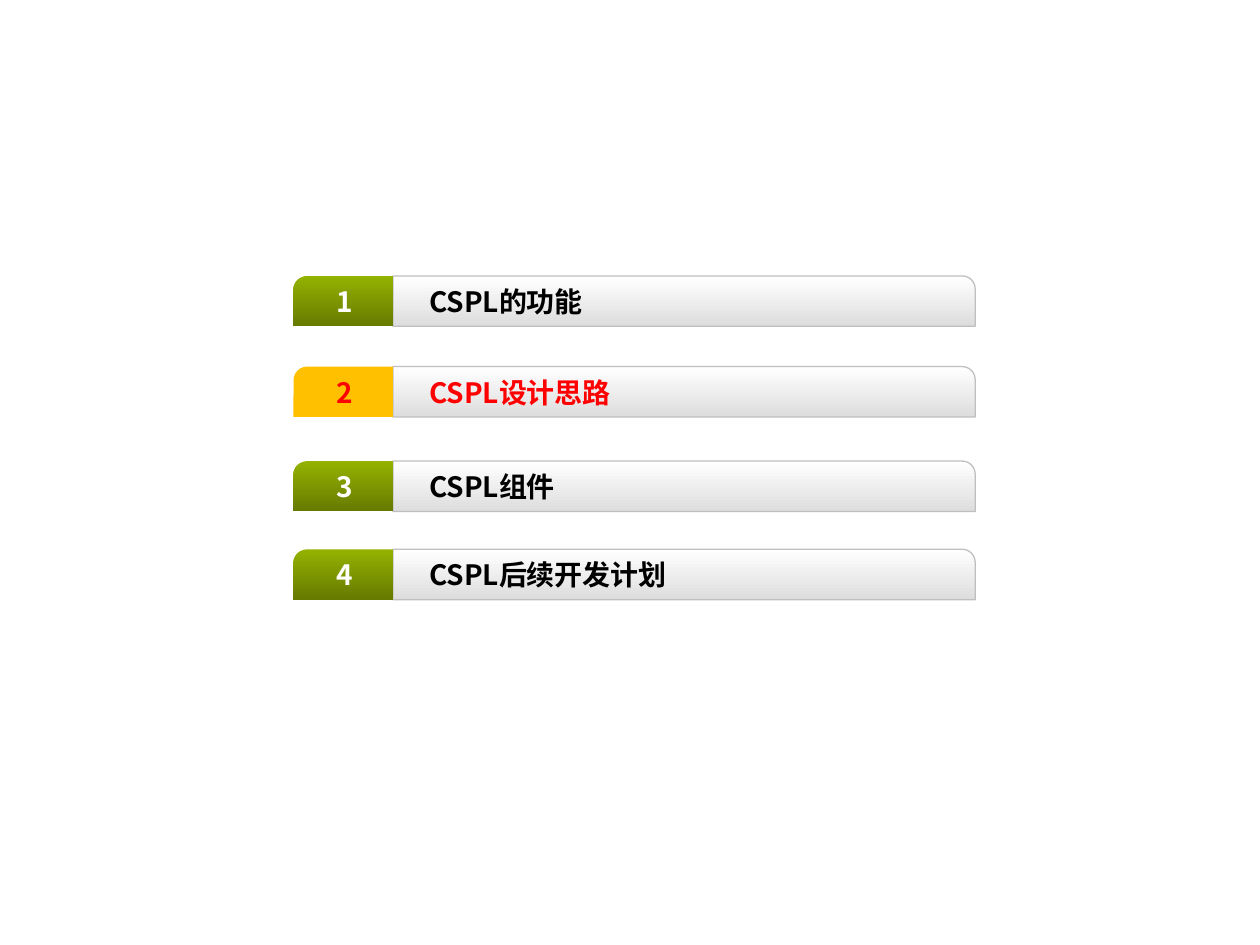
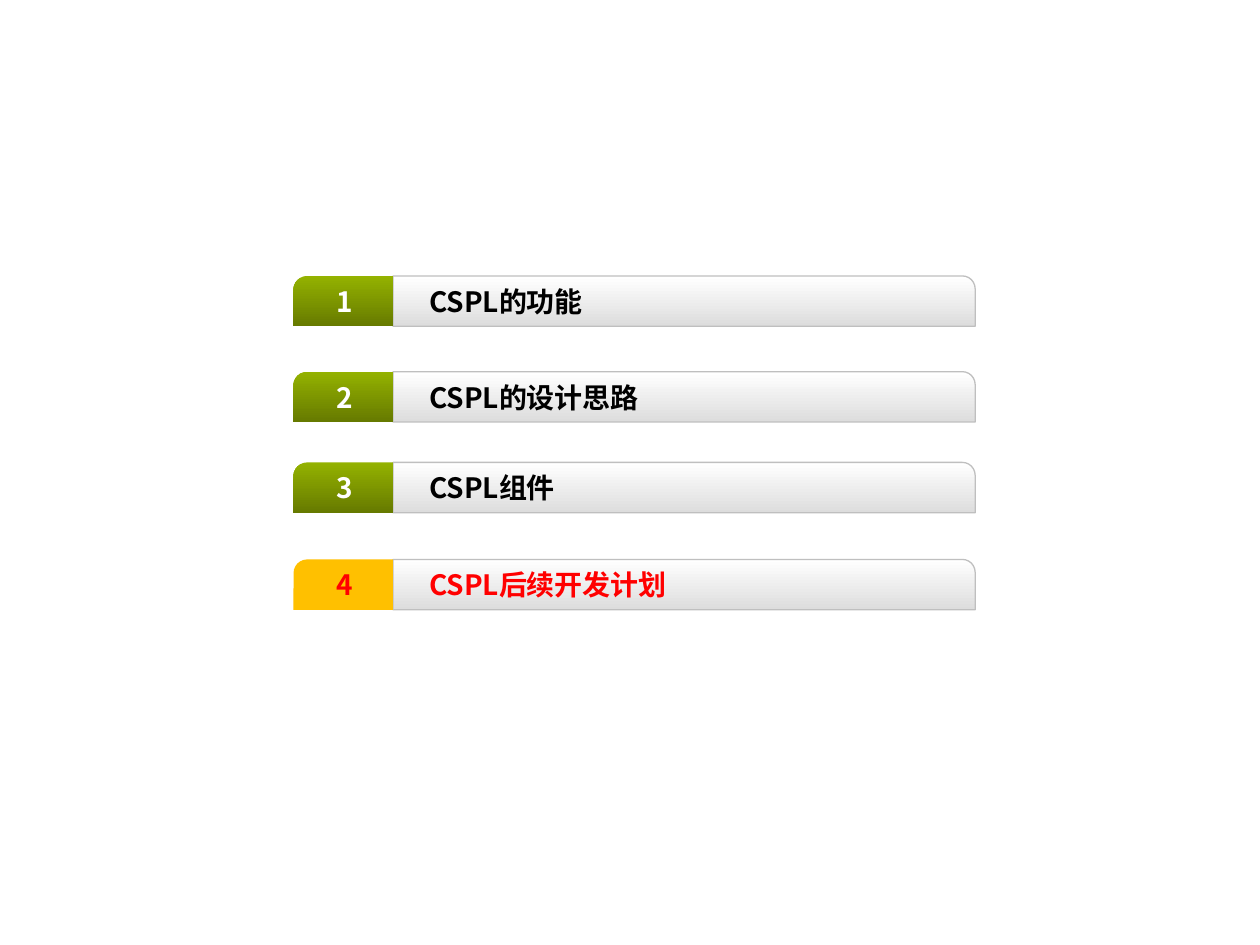
from dataclasses import dataclass

from lxml.etree import SubElement
from pptx import Presentation
from pptx.dml.color import RGBColor
from pptx.enum.shapes import MSO_SHAPE
from pptx.enum.text import MSO_ANCHOR, PP_ALIGN
from pptx.oxml.ns import qn
from pptx.util import Inches, Pt


@dataclass(frozen=True)
class Theme:
    font: str = "Noto Sans CJK SC"
    size: int = 16
    text: str = "000000"
    badge_text: str = "FFFFFF"
    current_text: str = "FF0000"
    current_fill: tuple = ("FFC000",)
    badge_fill: tuple = ("94B200", "667A00")
    bar_fill: tuple = ("FFFFFF", "DDDDDD")
    bar_line: str = "BFBFBF"


@dataclass(frozen=True)
class Box:
    left: float
    top: float
    width: float
    height: float

    def split(self, share):
        """Cut the box in two, the first part taking the given share of the width."""
        first = self.width * share
        return (Box(self.left, self.top, first, self.height),
                Box(self.left + first, self.top, self.width - first, self.height))


THEME = Theme()
SLIDE_WIDTH, SLIDE_HEIGHT = 10, 7.5
ROW_LEFT, ROW_WIDTH, ROW_HEIGHT = 2.33, 5.41, 0.4
BADGE_SHARE = 0.146
LABEL_INDENT = 0.19

# Each agenda: its current chapter, then (label, top) of every chapter
AGENDAS = [
    (2, [("CSPL的功能", 2.19), ("CSPL设计思路", 2.91),
         ("CSPL组件", 3.66), ("CSPL后续开发计划", 4.36)]),
    (4, [("CSPL的功能", 2.19), ("CSPL的设计思路", 2.95),
         ("CSPL组件", 3.67), ("CSPL后续开发计划", 4.44)]),
]


def rgb(value):
    return RGBColor.from_string(value)


def paint(fill, colors):
    """Fill with one plain colour, or with two running from top to bottom."""
    if len(colors) == 1:
        fill.solid()
        fill.fore_color.rgb = rgb(colors[0])
        return
    fill.gradient()
    fill.gradient_angle = 270
    for stop, color in zip(fill.gradient_stops, colors):
        stop.color.rgb = rgb(color)


def add_tab(slide, box, rounding, colors, text, text_color, align):
    """Add a rectangle with one rounded corner and a line of bold text."""
    tab = slide.shapes.add_shape(
        MSO_SHAPE.ROUND_1_RECTANGLE, Inches(box.left), Inches(box.top),
        Inches(box.width), Inches(box.height))
    tab.adjustments[0] = rounding
    tab.shadow.inherit = False
    paint(tab.fill, colors)
    tab.text_frame.vertical_anchor = MSO_ANCHOR.MIDDLE
    paragraph = tab.text_frame.paragraphs[0]
    paragraph.alignment = align
    run = paragraph.add_run()
    run.text = text
    run.font.size = Pt(THEME.size)
    run.font.bold = True
    run.font.color.rgb = rgb(text_color)
    run.font.name = THEME.font
    SubElement(run.font._element, qn("a:ea")).set("typeface", THEME.font)
    return tab


def add_chapter(slide, box, number, label, is_current):
    badge_box, bar_box = box.split(BADGE_SHARE)
    bar = add_tab(slide, bar_box, 0.255, THEME.bar_fill, label,
                  THEME.current_text if is_current else THEME.text, PP_ALIGN.LEFT)
    bar.line.color.rgb = rgb(THEME.bar_line)
    bar.line.width = Pt(0.75)
    indent = bar.text_frame.paragraphs[0]._p.get_or_add_pPr()
    indent.set("marL", str(Inches(LABEL_INDENT)))

    badge = add_tab(slide, badge_box, 0.271,
                    THEME.current_fill if is_current else THEME.badge_fill,
                    str(number),
                    THEME.current_text if is_current else THEME.badge_text,
                    PP_ALIGN.CENTER)
    badge.line.fill.background()
    badge._element.spPr.xfrm.set("flipH", "1")


def add_agenda(deck, current, chapters):
    slide = deck.slides.add_slide(deck.slide_layouts[6])
    for number, (label, top) in enumerate(chapters, start=1):
        row = Box(ROW_LEFT, top, ROW_WIDTH, ROW_HEIGHT)
        add_chapter(slide, row, number, label, number == current)


def main():
    deck = Presentation()
    deck.slide_width, deck.slide_height = Inches(SLIDE_WIDTH), Inches(SLIDE_HEIGHT)
    for current, chapters in AGENDAS:
        add_agenda(deck, current, chapters)
    deck.save("out.pptx")


if __name__ == "__main__":
    main()
